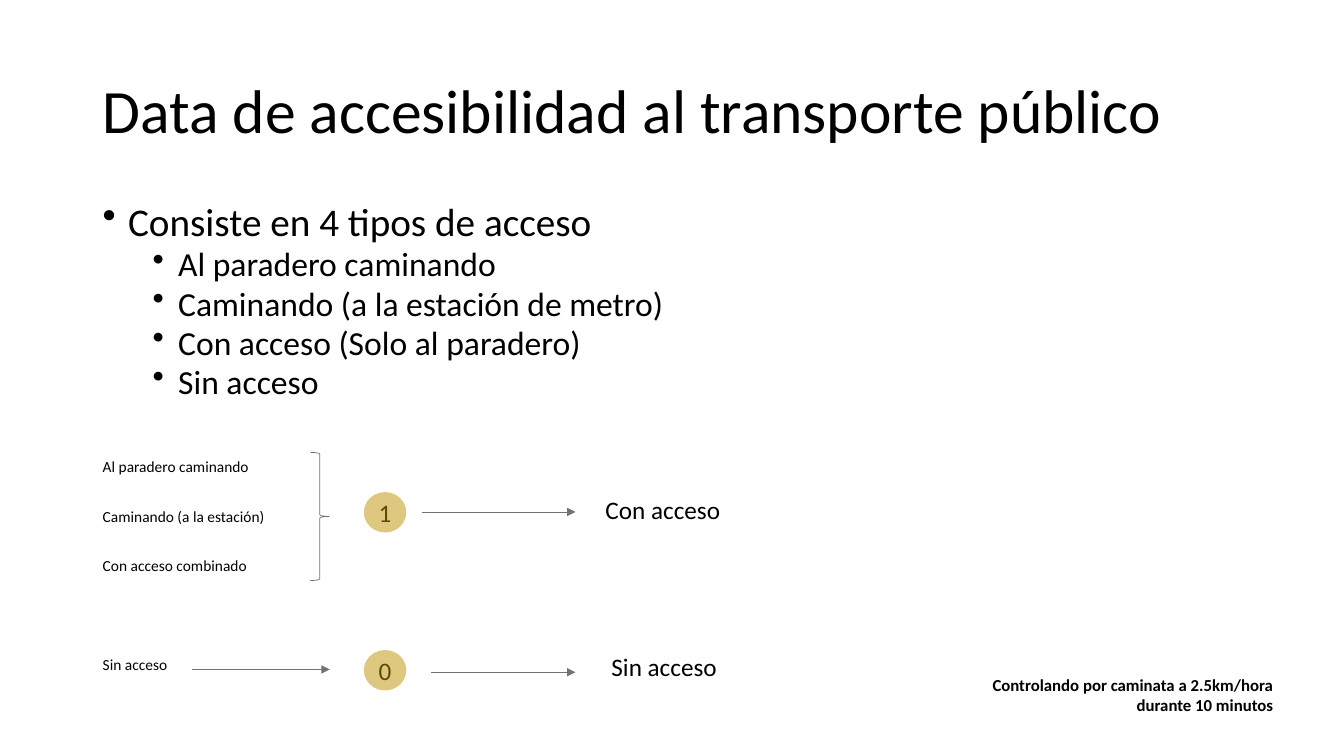
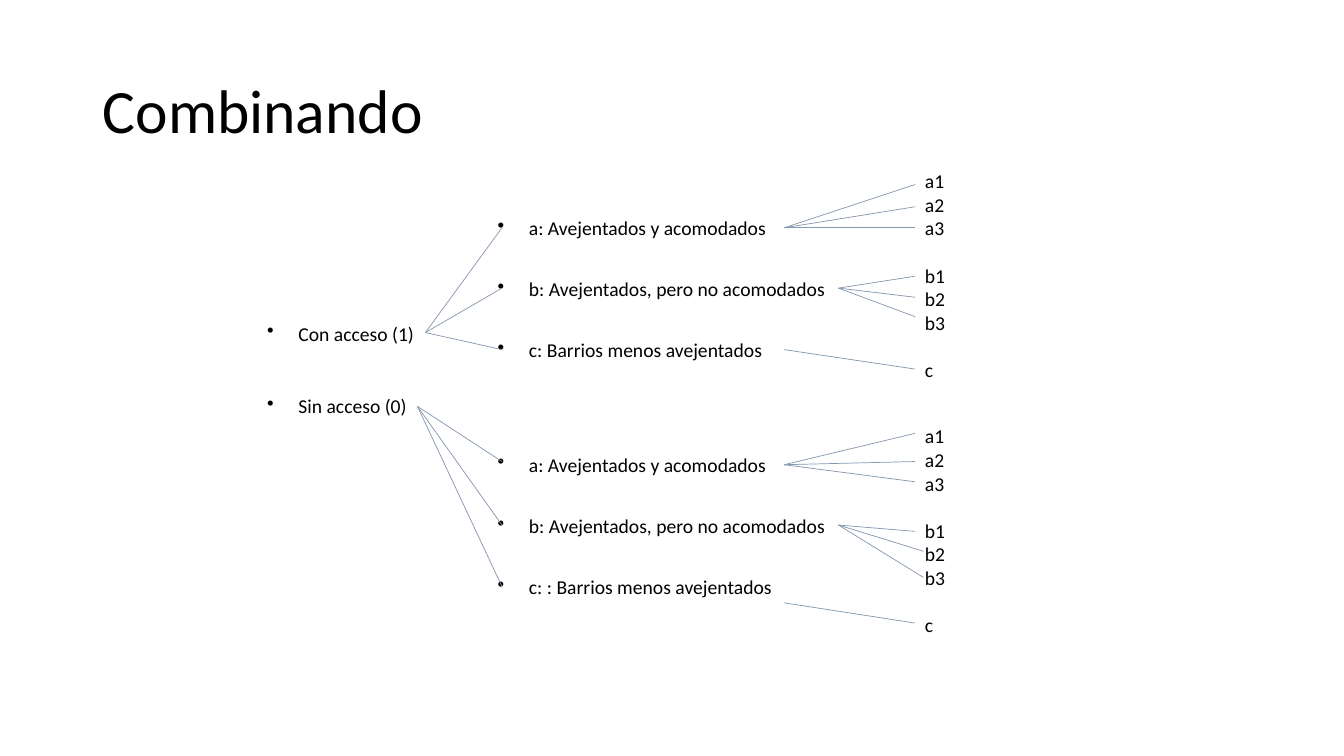
from lxml import etree
from pptx import Presentation
from pptx.dml.color import RGBColor
from pptx.enum.shapes import MSO_CONNECTOR, MSO_SHAPE
from pptx.enum.text import MSO_ANCHOR, PP_ALIGN
from pptx.oxml.ns import qn
from pptx.util import Cm, Pt

LINE = MSO_CONNECTOR.STRAIGHT
OVAL, BRACE = MSO_SHAPE.OVAL, MSO_SHAPE.RIGHT_BRACE
MID = MSO_ANCHOR.MIDDLE
RIGHT, CENTER = PP_ALIGN.RIGHT, PP_ALIGN.CENTER

BLACK = RGBColor(0x00, 0x00, 0x00)
GREY = RGBColor(0x76, 0x71, 0x71)
BLUE = RGBColor(0x84, 0x97, 0xB0)
GOLD = RGBColor(0xBF, 0x90, 0x00)
BROWN = RGBColor(0x60, 0x48, 0x00)
FONT = "Calibri"
LEFT = 2.34  # left edge of the text, cm

# Content of slide 1
TYPES = ["Al paradero caminando", "Caminando (a la estación de metro)",
         "Con acceso (Solo al paradero)", "Sin acceso"]
NOTE = "Controlando por caminata a 2.5km/hora durante 10 minutos"
# label, row number
INPUTS = [("Al paradero caminando", 0), ("Caminando (a la estación)", 1),
          ("Con acceso combinado", 2), ("Sin acceso", 4)]
# digit, top of disc, arrow start x, arrow y, label, label x, label y
CODES = [("1", 12.4, 10.64, 12.9, "Con acceso", 15.01, 12.32),
         ("0", 16.38, 10.87, 16.94, "Sin acceso", 15.16, 16.28)]

# Content of slide 2: each branch has its label, the y where its line
# arrives, the point its own lines leave from, and where those end
LEAF_X, LEAF_IN = 23.06, 23.27
TREE = [
    {"root": "Con acceso (1)", "top": 7.98, "hub": (10.72, 8.38),
     "first": 5.31, "leaf": 4.14, "kids": [
         ("a: Avejentados y acomodados", 5.74, (19.76, 5.74),
          [(LEAF_X, 4.65), (LEAF_X, 5.21), (LEAF_X, 5.74)]),
         ("b: Avejentados, pero no acomodados", 7.26, (21.13, 7.26),
          [(LEAF_X, 6.96), (LEAF_X, 7.49), (LEAF_X, 7.98)]),
         ("c: Barrios menos avejentados", 8.81, (19.76, 8.81),
          [(LEAF_X, 9.3)])]},
    {"root": "Sin acceso (0)", "top": 9.8, "hub": (10.52, 10.24),
     "first": 11.28, "leaf": 10.57, "kids": [
         ("a: Avejentados y acomodados", 11.63, (19.76, 11.71),
          [(LEAF_X, 10.92), (LEAF_X, 11.63), (LEAF_X, 12.14)]),
         ("b: Avejentados, pero no acomodados", 13.23, (21.13, 13.23),
          [(LEAF_X, 13.39), (LEAF_IN, 13.89), (LEAF_IN, 14.55)]),
         ("c: : Barrios menos avejentados", 14.78, (19.76, 15.19),
          [(LEAF_X, 15.7)])]},
]
LEAVES = [["a1", "a2", "a3"], ["b1", "b2", "b3"], ["c"]]

# Paragraph styles
HEAD = {"size": 44, "line_spacing": 0.9}
ITEM = {"size": 28, "line_spacing": 0.8, "bullet": (0.64, 0.64)}
SUB = {"size": 24, "line_spacing": 0.8, "space_before": Pt(5),
       "bullet": (1.9, 0.64), "level": 1}
SMALL, PLAIN = {"size": 11}, {"size": 18}
STRONG = {"size": 12, "bold": True, "alignment": RIGHT}
DIGIT = {"size": 18, "color": BROWN, "alignment": CENTER}
NODE = {"size": 14, "bullet": (0.79, 0.79)}
LEAF = {"size": 14}
GAP = {"size": 14, "space_before": Pt(17)}


def write(frame, paras):
    """Fill a text frame with (text, style) pairs."""
    frame.word_wrap = True
    for i, (text, style) in enumerate(paras):
        para = frame.paragraphs[0] if i == 0 else frame.add_paragraph()
        if "bullet" in style:
            left, hang = style["bullet"]
            props = para._p.get_or_add_pPr()
            props.set("marL", str(Cm(left)))
            props.set("indent", str(-Cm(hang)))
            etree.SubElement(props, qn("a:buChar")).set("char", "•")
        for key in ("level", "alignment", "line_spacing", "space_before"):
            if key in style:
                setattr(para, key, style[key])
        run = para.add_run()
        run.text = text
        font = run.font
        look = {"name": FONT, "size": Pt(style["size"]),
                "bold": style.get("bold", False)}
        for key, val in look.items():
            setattr(font, key, val)
        font.color.rgb = style.get("color", BLACK)


def label(slide, box, *paras):
    frame = slide.shapes.add_textbox(*map(Cm, box)).text_frame
    write(frame, paras)
    return frame


def link(slide, start, end, color, arrow=False):
    line = slide.shapes.add_connector(LINE, *map(Cm, start + end))
    line.line.color.rgb = color
    line.line.width = Pt(0.5)
    if arrow:
        tail = etree.SubElement(line.line._get_or_add_ln(), qn("a:tailEnd"))
        tail.set("type", "triangle")
    etree.SubElement(line._element.spPr, qn("a:effectLst"))


def shape(slide, kind, box):
    item = slide.shapes.add_shape(kind, *map(Cm, box))
    item.shadow.inherit = False
    return item


def page(deck, title):
    slide = deck.slides.add_slide(deck.slide_layouts[6])
    frame = label(slide, (LEFT, 1.02, 29.21, 3.68), (title, HEAD))
    frame.vertical_anchor = MID
    return slide


def access(deck):
    slide = page(deck, "Data de accesibilidad al transporte público")
    label(slide, (LEFT, 5.08, 29.21, 5.41),
          ("Consiste en 4 tipos de acceso", ITEM), *[(t, SUB) for t in TYPES])
    label(slide, (23.5, 16.87, 8.84, 1.27), (NOTE, STRONG))

    # Input labels, brace and arrow
    for text, row in INPUTS:
        label(slide, (LEFT, 11.4 + 1.245 * row, 7.34, 0.74), (text, SMALL))
    brace = shape(slide, BRACE, (7.82, 11.4, 0.48, 3.23))
    brace.fill.background()
    brace.line.color.rgb = GREY
    brace.line.width = Pt(0.5)
    link(slide, (4.85, 16.87), (8.31, 16.87), GREY, True)

    # Codes and their meaning
    for digit, top, x, y, text, left, high in CODES:
        disc = shape(slide, OVAL, (9.17, top, 1.07, 1.02))
        disc.fill.solid()
        disc.fill.fore_color.rgb = GOLD
        tint = disc.fill._xPr.find(".//" + qn("a:srgbClr"))
        etree.SubElement(tint, qn("a:alpha")).set("val", "50000")
        disc.line.fill.background()
        frame = disc.text_frame
        for side in ("left", "right", "top", "bottom"):
            setattr(frame, "margin_" + side, 0)
        frame.vertical_anchor = MID
        write(frame, [(digit, DIGIT)])
        link(slide, (x, y), (14.5, y), GREY, True)
        label(slide, (left, high, 4.7, 1.02), (text, PLAIN))


def combine(deck):
    slide = page(deck, "Combinando")
    leaves = [(text, GAP if g and not i else LEAF)
              for g, group in enumerate(LEAVES)
              for i, text in enumerate(group)]
    for part in TREE:
        label(slide, (6.48, part["top"], 6.17, 0.86), (part["root"], NODE))
        label(slide, (LEAF_X, part["leaf"], 1.32, 5.64), *leaves)
        for i, (text, y, start, ends) in enumerate(part["kids"]):
            top = part["first"] + 1.54 * i
            label(slide, (12.29, top, 11.43, 0.86), (text, NODE))
            link(slide, part["hub"], (12.65, y), BLUE)
            for end in ends:
                link(slide, start, end, BLUE)


def main():
    deck = Presentation()
    deck.slide_width, deck.slide_height = Cm(33.87), Cm(19.05)
    access(deck)
    combine(deck)
    deck.save("out.pptx")


if __name__ == "__main__":
    main()
